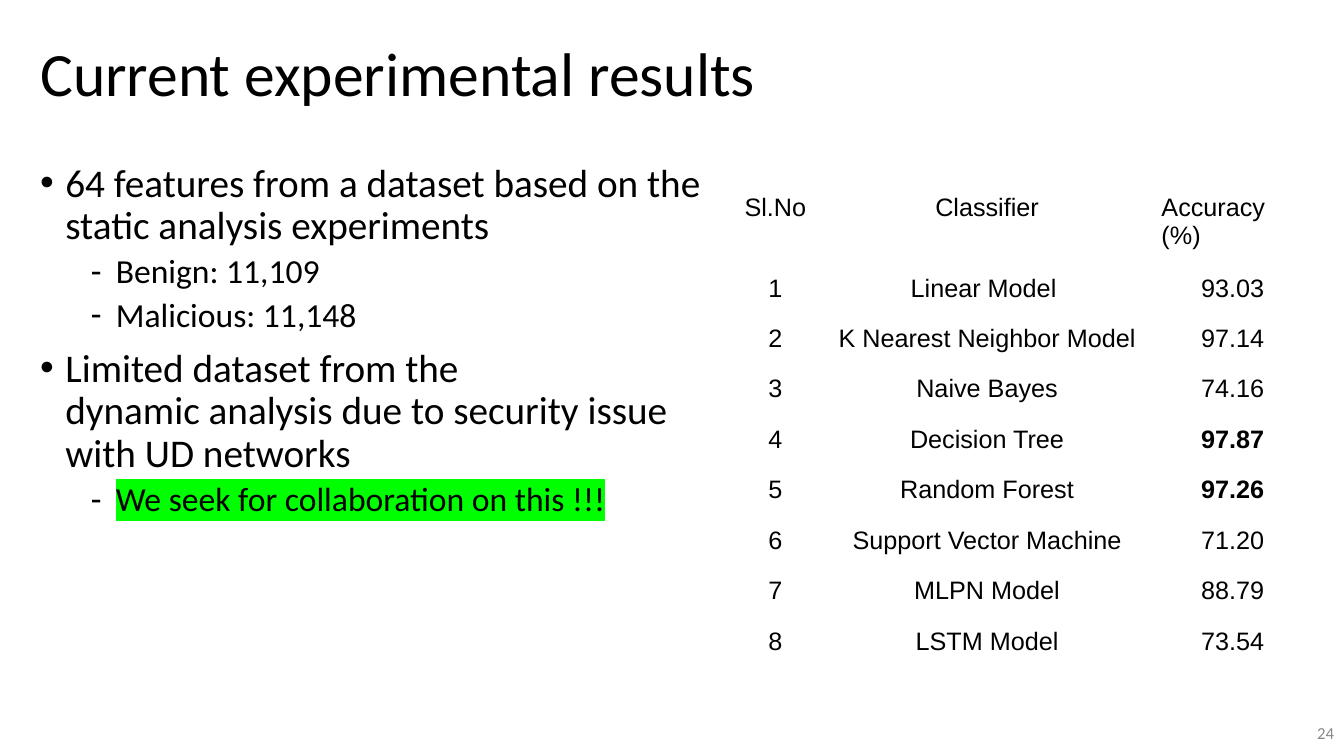
from lxml.etree import SubElement
from pptx import Presentation
from pptx.dml.color import RGBColor
from pptx.enum.text import MSO_ANCHOR, PP_ALIGN
from pptx.oxml import parse_xml
from pptx.oxml.ns import nsdecls, qn
from pptx.util import Inches, Pt

BLACK = RGBColor(0x00, 0x00, 0x00)
GREY = RGBColor(0x88, 0x88, 0x88)
GREEN = RGBColor(0x00, 0xFF, 0x00)

TITLE = "Current experimental results"
NUMBER = "24"
# Level, lines, marker colour
POINTS = [
    (0, ["64 features from a dataset based on the static analysis experiments"], None),
    (1, ["Benign: 11,109"], None),
    (1, ["Malicious: 11,148"], None),
    (0, ["Limited dataset from the ",
         "dynamic analysis due to security issue with UD networks"], None),
    (1, ["We seek for collaboration on this !!!"], GREEN),
]
# Bullet, indent in inches, text size, space before
LEVELS = [("•", 0.25, 28, 10), ("-", 0.75, 24, 5)]

HEADS = ("Sl.No", "Classifier", "Accuracy (%)")
SCORES = [
    ("Linear Model ", "93.03"),
    ("K Nearest Neighbor Model", "97.14"),
    ("Naive Bayes", "74.16"),
    ("Decision Tree", "97.87"),
    ("Random Forest", "97.26"),
    ("Support Vector Machine", "71.20"),
    ("MLPN Model", "88.79"),
    ("LSTM Model", "73.54"),
]
BEST = {"97.87", "97.26"}
WIDTHS = (0.94, 3.26, 1.61)
HEAD_H, ROW_H = 0.76, 0.48


def add_run(para, text, size, face="Calibri", color=BLACK, bold=False):
    run = para.add_run()
    run.text = text
    font = run.font
    font.size, font.name, font.bold = Pt(size), face, bold
    font.color.rgb = color
    return run


def add_box(slide, left, top, width, height, anchor=MSO_ANCHOR.MIDDLE):
    box = slide.shapes.add_textbox(*map(Inches, (left, top, width, height)))
    frame = box.text_frame
    frame.word_wrap = True
    frame.vertical_anchor = anchor
    return frame


def set_bullet(para, mark, indent):
    props = para._p.get_or_add_pPr()
    props.set("marL", str(Inches(indent)))
    props.set("indent", str(Inches(-0.25)))
    SubElement(props, qn("a:buFont")).set("typeface", "Arial")
    SubElement(props, qn("a:buChar")).set("char", mark)


def mark_run(run, color):
    """Put a highlight behind the run."""
    fill = run._r.get_or_add_rPr().find(qn("a:solidFill"))
    fill.addnext(parse_xml(
        f'<a:highlight {nsdecls("a")}><a:srgbClr val="{color}"/></a:highlight>'))


def add_points(frame):
    for i, (level, lines, color) in enumerate(POINTS):
        mark, indent, size, space = LEVELS[level]
        para = frame.add_paragraph() if i else frame.paragraphs[0]
        para.level = level
        set_bullet(para, mark, indent)
        para.line_spacing = 0.9
        if i:
            para.space_before = Pt(space)
        for j, line in enumerate(lines):
            if j:
                para.add_line_break()
            run = add_run(para, line, size)
            if color:
                mark_run(run, color)


def add_scores(slide):
    rows = [HEADS] + [(str(n), *row) for n, row in enumerate(SCORES, 1)]
    height = HEAD_H + ROW_H * len(SCORES)
    table = slide.shapes.add_table(
        len(rows), len(HEADS), Inches(7.22), Inches(1.82),
        Inches(sum(WIDTHS)), Inches(height)).table
    table.first_row = table.horz_banding = False
    for col, width in zip(table.columns, WIDTHS):
        col.width = Inches(width)
    for r, row in enumerate(rows):
        table.rows[r].height = Inches(ROW_H if r else HEAD_H)
        for c, text in enumerate(row):
            cell = table.cell(r, c)
            cell.fill.background()
            cell.margin_left = cell.margin_right = Inches(0.1)
            cell.margin_top = cell.margin_bottom = Inches(0.1)
            para = cell.text_frame.paragraphs[0]
            left = text == HEADS[-1]
            para.alignment = PP_ALIGN.LEFT if left else PP_ALIGN.CENTER
            add_run(para, text, 18, "Arial", bold=text in BEST)


def main():
    deck = Presentation()
    deck.slide_width, deck.slide_height = Inches(13.33), Inches(7.5)
    slide = deck.slides.add_slide(deck.slide_layouts[6])

    title = add_box(slide, 0.3, 0.03, 12.69, 1.45).paragraphs[0]
    title.line_spacing = 0.9
    add_run(title, TITLE, 44)

    add_points(add_box(slide, 0.3, 1.57, 6.79, 5.78, MSO_ANCHOR.TOP))
    add_scores(slide)

    number = add_box(slide, 10.33, 7.07, 3, 0.4).paragraphs[0]
    number.alignment = PP_ALIGN.RIGHT
    add_run(number, NUMBER, 12, color=GREY)
    deck.save("out.pptx")


if __name__ == "__main__":
    main()
